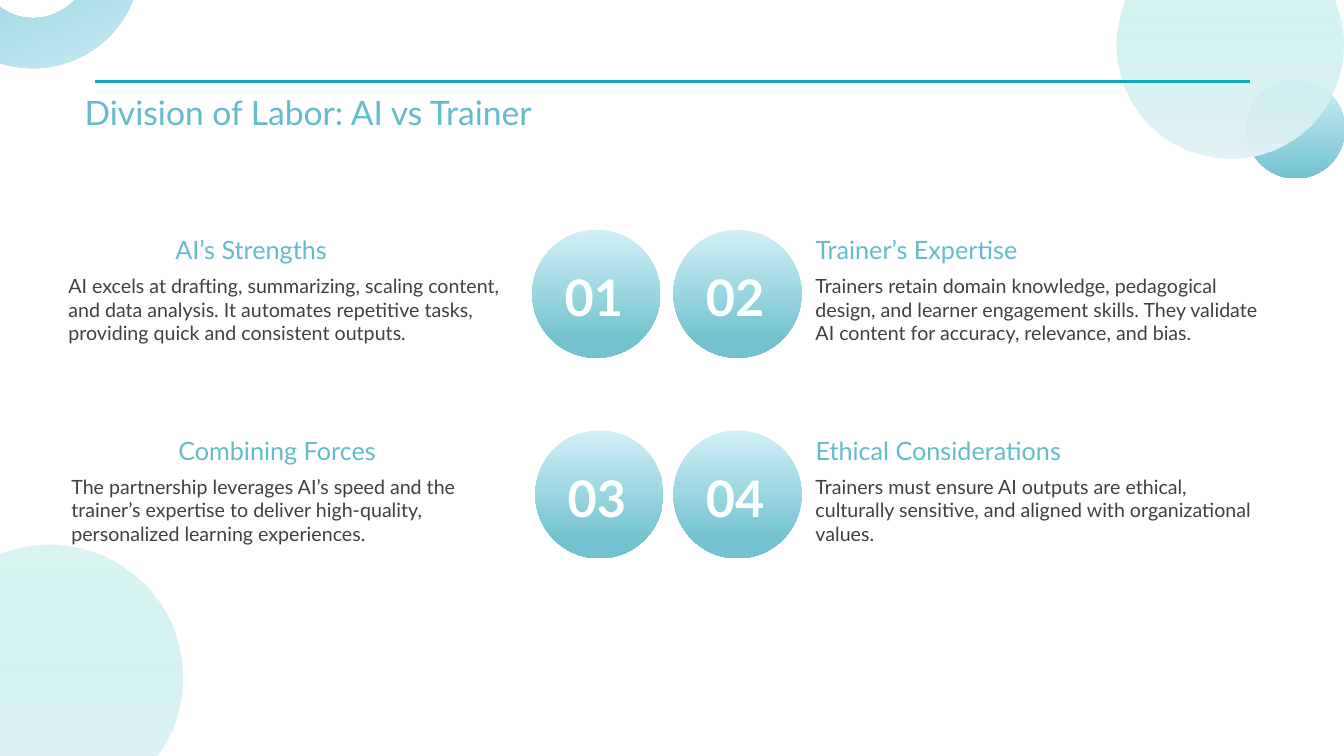
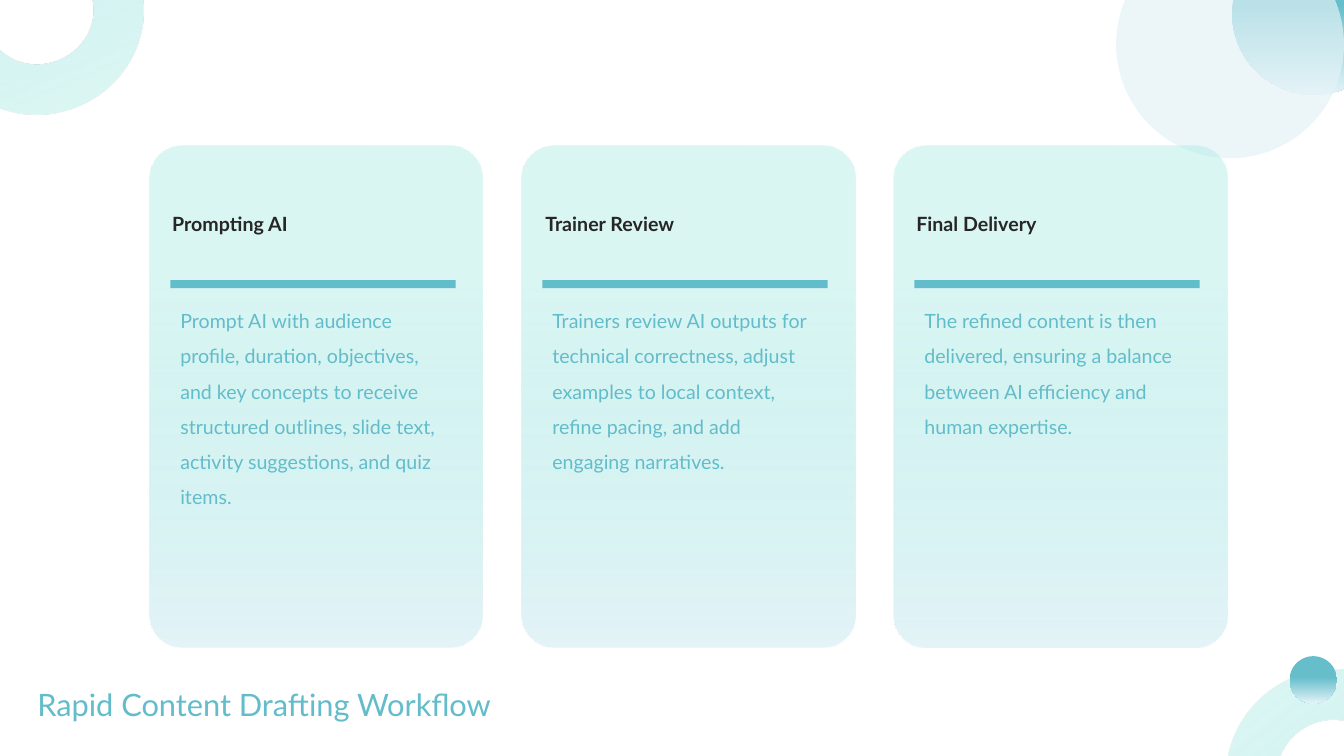
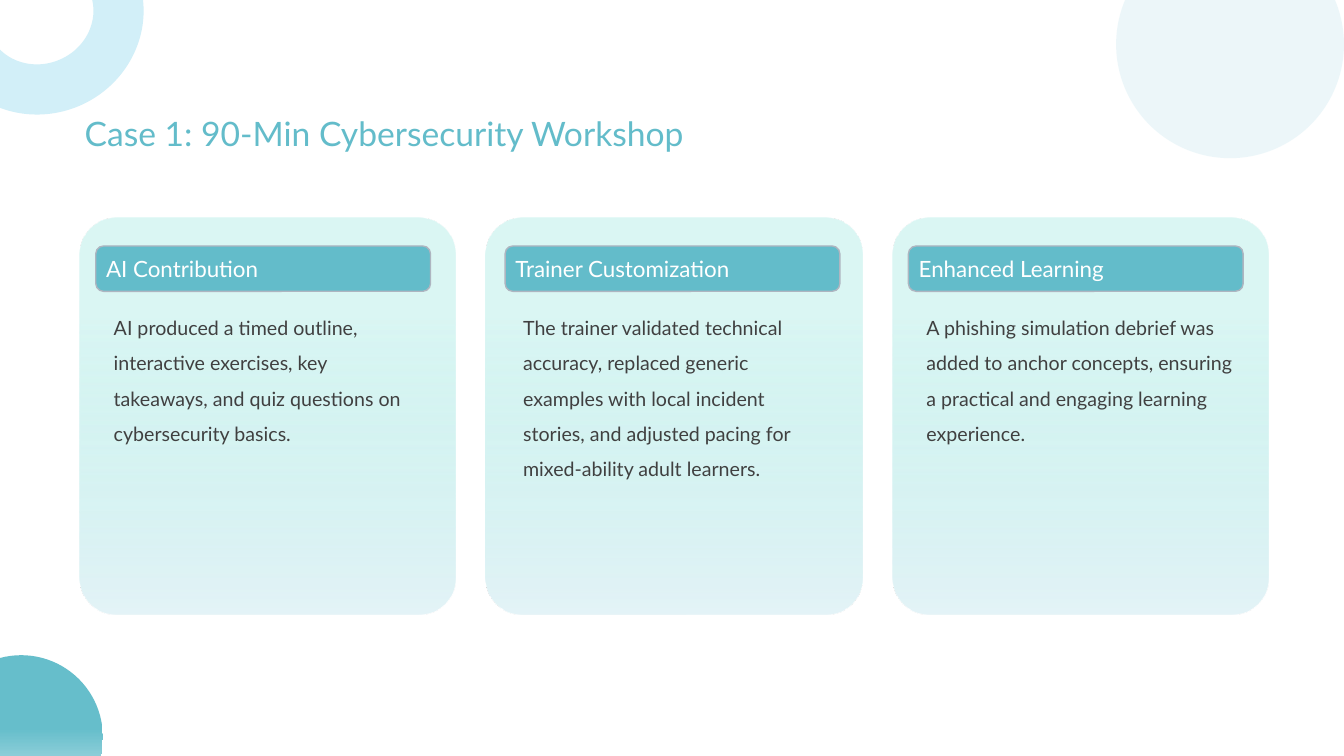
from dataclasses import dataclass

from lxml.etree import SubElement
from pptx import Presentation
from pptx.dml.color import RGBColor
from pptx.enum.shapes import MSO_CONNECTOR, MSO_SHAPE
from pptx.enum.text import MSO_ANCHOR, MSO_AUTO_SIZE, PP_ALIGN
from pptx.oxml import parse_xml
from pptx.oxml.ns import nsdecls, qn
from pptx.util import Inches, Pt

FONT = "Lato"
TEAL = RGBColor(0x63, 0xBC, 0xCA)
DEEP_TEAL = RGBColor(0x66, 0xBE, 0xCB)
MID_TEAL = RGBColor(0x72, 0xC3, 0xCF)
RULE_TEAL = RGBColor(0x11, 0xA9, 0xB8)
MINT = RGBColor(0xA8, 0xEA, 0xE4)
SKY = RGBColor(0xD2, 0xEF, 0xF8)
PALE = RGBColor(0xE4, 0xF3, 0xF7)
BORDER = RGBColor(0xAE, 0xB5, 0xC0)
WHITE = RGBColor(0xFF, 0xFF, 0xFF)
INK = RGBColor(0x26, 0x26, 0x26)
GREY = RGBColor(0x40, 0x40, 0x40)


@dataclass(frozen=True)
class Box:
    x: float
    y: float
    w: float
    h: float

    def lengths(self):
        return [Inches(v) for v in (self.x, self.y, self.w, self.h)]


@dataclass(frozen=True)
class Stop:
    pos: int
    color: RGBColor
    alpha: int = 100


@dataclass(frozen=True)
class Style:
    size: int
    color: RGBColor
    bold: bool = False
    spacing: float | None = None
    align: PP_ALIGN = PP_ALIGN.LEFT
    anchor: MSO_ANCHOR = MSO_ANCHOR.TOP


@dataclass(frozen=True)
class Topic:
    number: str
    heading: str
    body: str
    circle_x: float
    heading_x: float
    body_x: float
    y: float


@dataclass(frozen=True)
class Card:
    heading: str
    body: str
    label_x: float


# Fills: a tuple of stops, a single stop being a plain fill
SKY_TEAL = (Stop(0, SKY), Stop(100, MID_TEAL))
NUMBER_FILL = (Stop(0, SKY), Stop(86, MID_TEAL), Stop(100, MID_TEAL))
MINT_PALE = (Stop(0, MINT, 42), Stop(100, PALE))
CARD_FILL = (Stop(0, MINT, 42), Stop(25, MINT, 42), Stop(100, PALE))
TEAL_PALE = (Stop(0, DEEP_TEAL), Stop(45, DEEP_TEAL), Stop(100, PALE))
PALE_GLASS = (Stop(0, PALE, 67),)
PLAIN_SKY = (Stop(0, SKY),)
PLAIN_TEAL = (Stop(0, TEAL),)

# Text styles
TITLE = Style(24, TEAL)
LOW_TITLE = Style(22, TEAL, anchor=MSO_ANCHOR.MIDDLE)
NUMBER = Style(36, WHITE, bold=True, align=PP_ALIGN.CENTER, anchor=MSO_ANCHOR.MIDDLE)
TOPIC_HEADING = Style(18, TEAL)
TOPIC_BODY = Style(14, GREY)
STEP_HEADING = Style(14, INK, bold=True, anchor=MSO_ANCHOR.MIDDLE)
STEP_BODY = Style(14, TEAL, spacing=1.5)
LABEL = Style(16, WHITE, anchor=MSO_ANCHOR.MIDDLE)
CASE_BODY = Style(14, GREY, spacing=1.5)

# Shared ornament places
BIG_CIRCLE = Box(11.07, -0.69, 2.26, 2.26)
CORNER_ARC = Box(-0.64, -0.86, 2.07, 1.99)

TOPICS = [
    Topic("01", "AI’s Strengths",
          "AI excels at drafting, summarizing, scaling content, and data analysis. "
          "It automates repetitive tasks, providing quick and consistent outputs.",
          5.28, 1.64, 0.58, 2.28),
    Topic("02", "Trainer’s Expertise",
          "Trainers retain domain knowledge, pedagogical design, and learner engagement "
          "skills. They validate AI content for accuracy, relevance, and bias.",
          6.68, 7.99, 7.99, 2.28),
    Topic("03", "Combining Forces",
          "The partnership leverages AI’s speed and the trainer’s expertise to deliver "
          "high-quality, personalized learning experiences.",
          5.31, 1.67, 0.61, 4.27),
    Topic("04", "Ethical Considerations",
          "Trainers must ensure AI outputs are ethical, culturally sensitive, and aligned "
          "with organizational values.",
          6.68, 7.99, 7.99, 4.27),
]
STEPS = [
    Card("Prompting AI",
         "Prompt AI with audience profile, duration, objectives, and key concepts to receive "
         "structured outlines, slide text, activity suggestions, and quiz items.", 1.61),
    Card("Trainer Review",
         "Trainers review AI outputs for technical correctness, adjust examples to local "
         "context, refine pacing, and add engaging narratives.", 5.31),
    Card("Final Delivery",
         "The refined content is then delivered, ensuring a balance between AI efficiency "
         "and human expertise.", 8.99),
]
CASE_CARDS = [
    Card("AI Contribution",
         "AI produced a timed outline, interactive exercises, key takeaways, and quiz "
         "questions on cybersecurity basics.", 0.95),
    Card("Trainer Customization",
         "The trainer validated technical accuracy, replaced generic examples with local "
         "incident stories, and adjusted pacing for mixed-ability adult learners.", 5.01),
    Card("Enhanced Learning",
         "A phishing simulation debrief was added to anchor concepts, ensuring a practical "
         "and engaging learning experience.", 9.01),
]


def paint(sp, stops: tuple[Stop, ...]) -> None:
    """Fill a shape with one colour or a downward gradient."""
    sp.fill.solid()
    sp.fill.fore_color.rgb = stops[0].color
    props = sp._element.spPr
    solid = props.find(qn("a:solidFill"))
    if len(stops) == 1:
        if stops[0].alpha < 100:
            SubElement(solid[0], qn("a:alpha"), val=str(stops[0].alpha * 1000))
        return
    marks = "".join(
        f'<a:gs pos="{s.pos * 1000}"><a:srgbClr val="{s.color}">'
        f'<a:alpha val="{s.alpha * 1000}"/></a:srgbClr></a:gs>' for s in stops)
    props.replace(solid, parse_xml(
        f'<a:gradFill {nsdecls("a")} rotWithShape="1"><a:gsLst>{marks}</a:gsLst>'
        '<a:lin ang="5400000" scaled="0"/></a:gradFill>'))


def add_shape(slide, kind: MSO_SHAPE, box: Box, stops: tuple[Stop, ...],
              rotation: float = 0, corner: float | None = None):
    sp = slide.shapes.add_shape(kind, *box.lengths())
    sp.shadow.inherit = False
    sp.line.fill.background()
    sp.rotation = rotation
    if corner is not None:
        sp.adjustments[0] = corner
    paint(sp, stops)
    return sp


def write(sp, text: str, style: Style) -> None:
    tf = sp.text_frame
    tf.text = text
    tf.word_wrap = True
    tf.vertical_anchor = style.anchor
    p = tf.paragraphs[0]
    p.alignment = style.align
    if style.spacing:
        p.line_spacing = style.spacing
    font = p.runs[0].font
    font.name, font.size, font.bold = FONT, Pt(style.size), style.bold
    font.color.rgb = style.color


def add_text(slide, box: Box, text: str, style: Style) -> None:
    write(slide.shapes.add_textbox(*box.lengths()), text, style)


def add_slide(prs, title: str, title_box: Box, style: Style, small_circle: Box,
              small_fill: tuple[Stop, ...], arc: Box, arc_fill: tuple[Stop, ...],
              big_fill: tuple[Stop, ...]):
    """Add a slide with its title and the corner ornaments."""
    slide = prs.slides.add_slide(prs.slide_layouts[5])
    sp = slide.shapes.title
    sp.left, sp.top, sp.width, sp.height = title_box.lengths()
    write(sp, title, style)
    sp.text_frame.auto_size = (MSO_AUTO_SIZE.SHAPE_TO_FIT_TEXT if style is TITLE
                               else MSO_AUTO_SIZE.NONE)
    add_shape(slide, MSO_SHAPE.OVAL, small_circle, small_fill)
    add_shape(slide, MSO_SHAPE.BLOCK_ARC, arc, arc_fill, rotation=157)
    add_shape(slide, MSO_SHAPE.OVAL, BIG_CIRCLE, big_fill)
    return slide


def add_topic(slide, topic: Topic) -> None:
    circle = add_shape(slide, MSO_SHAPE.OVAL, Box(topic.circle_x, topic.y, 1.27, 1.27),
                       NUMBER_FILL)
    write(circle, topic.number, NUMBER)
    tf = circle.text_frame
    tf.word_wrap = False
    tf.margin_left = tf.margin_bottom = Inches(0.05)
    tf.margin_top = tf.margin_right = Inches(0.1)
    add_text(slide, Box(topic.heading_x, topic.y, 3.92, 0.37), topic.heading, TOPIC_HEADING)
    add_text(slide, Box(topic.body_x, topic.y + 0.39, 4.7, 1.32), topic.body, TOPIC_BODY)


def build_division(prs) -> None:
    slide = add_slide(prs, "Division of Labor: AI vs Trainer", Box(0.74, 0.86, 11.39, 0.4),
                      TITLE, Box(12.36, 0.79, 0.98, 0.98), SKY_TEAL,
                      Box(-0.68, -1.32, 2.07, 1.99), SKY_TEAL, MINT_PALE)
    add_shape(slide, MSO_SHAPE.OVAL, Box(-0.83, 5.4, 2.64, 2.64), MINT_PALE)
    # Rule above the title
    rule = slide.shapes.add_connector(MSO_CONNECTOR.STRAIGHT, Inches(0.94), Inches(0.81),
                                      Inches(12.4), Inches(0.81))
    rule.line.color.rgb = RULE_TEAL
    rule.line.width = Pt(2.25)
    SubElement(rule._element.spPr, qn("a:effectLst"))
    for topic in TOPICS:
        add_topic(slide, topic)


def build_workflow(prs) -> None:
    slide = add_slide(prs, "Rapid Content Drafting Workflow", Box(0.27, 6.55, 6.55, 0.87),
                      LOW_TITLE, Box(12.22, -0.68, 1.62, 1.62), TEAL_PALE,
                      CORNER_ARC, CARD_FILL, PALE_GLASS)
    # Lower right ornament
    add_shape(slide, MSO_SHAPE.BLOCK_ARC, Box(12.15, 6.66, 2.07, 1.99), CARD_FILL, rotation=321)
    add_shape(slide, MSO_SHAPE.OVAL, Box(12.79, 6.51, 0.47, 0.47), TEAL_PALE)
    # Step cards
    for i, step in enumerate(STEPS):
        x = 1.48 + 3.69 * i
        add_shape(slide, MSO_SHAPE.ROUNDED_RECTANGLE, Box(x, 1.45, 3.31, 4.97), CARD_FILL,
                  corner=0.1)
        add_shape(slide, MSO_SHAPE.RECTANGLE, Box(x + 0.21, 2.78, 2.83, 0.08), PLAIN_TEAL)
        add_text(slide, Box(step.label_x, 1.89, 3.06, 0.65), step.heading, STEP_HEADING)
        add_text(slide, Box(x + 0.21, 2.9, 2.83, 3.27), step.body, STEP_BODY)


def build_case(prs) -> None:
    slide = add_slide(prs, "Case 1: 90-Min Cybersecurity Workshop",
                      Box(0.74, 1.07, 11.39, 0.4), TITLE, Box(-0.6, 6.5, 1.62, 1.62),
                      TEAL_PALE, CORNER_ARC, PLAIN_SKY, PALE_GLASS)
    # Cards with a label on top
    for i, card in enumerate(CASE_CARDS):
        add_shape(slide, MSO_SHAPE.ROUNDED_RECTANGLE, Box(0.79 + 4.03 * i, 2.16, 3.73, 3.94),
                  CARD_FILL, corner=0.1)
        label = add_shape(slide, MSO_SHAPE.ROUNDED_RECTANGLE,
                          Box(card.label_x, 2.44, 3.32, 0.45), PLAIN_TEAL, corner=0.17)
        label.line.color.rgb = BORDER
        label.line.width = Pt(1)
        write(label, card.heading, LABEL)
        label.text_frame.margin_left = Inches(0.08)
        add_text(slide, Box(card.label_x + 0.08, 2.97, 3.24, 2.85), card.body, CASE_BODY)


def main() -> None:
    prs = Presentation()
    prs.slide_width, prs.slide_height = Inches(13.33), Inches(7.5)
    build_division(prs)
    build_workflow(prs)
    build_case(prs)
    prs.save("out.pptx")


if __name__ == "__main__":
    main()
